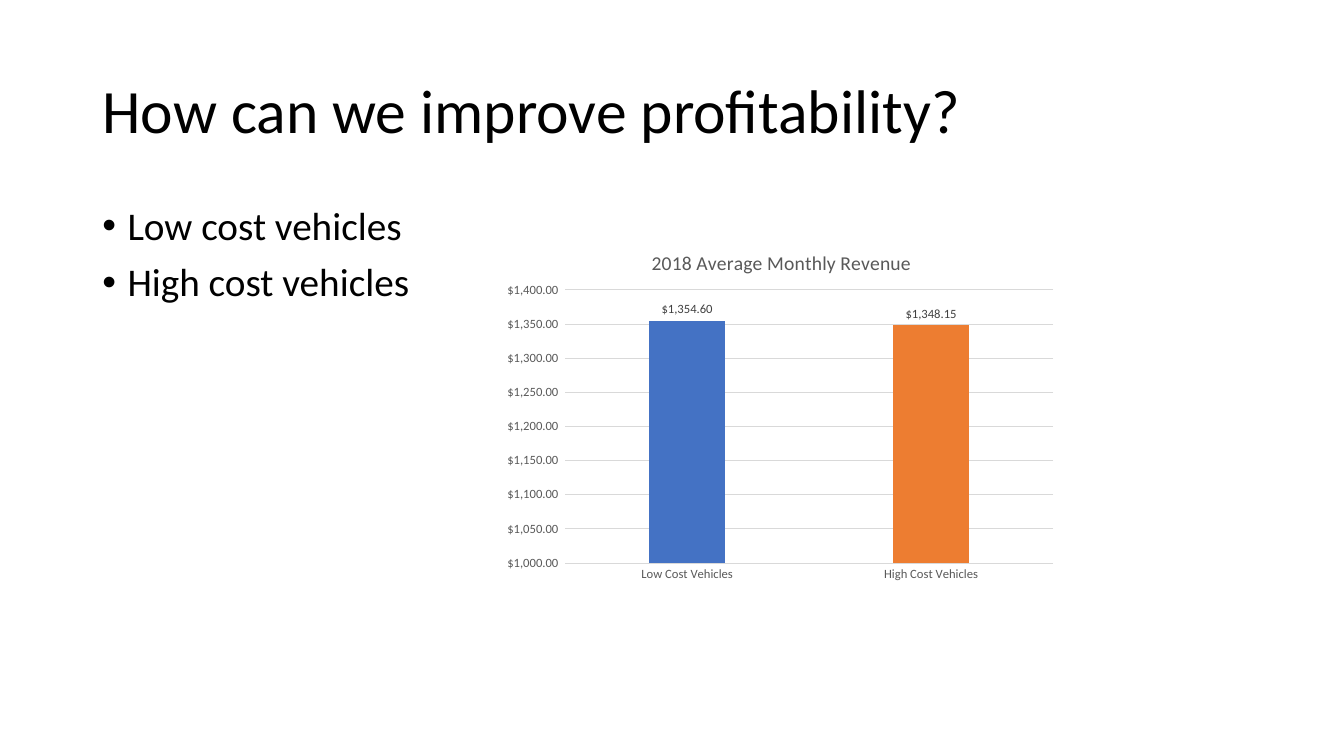
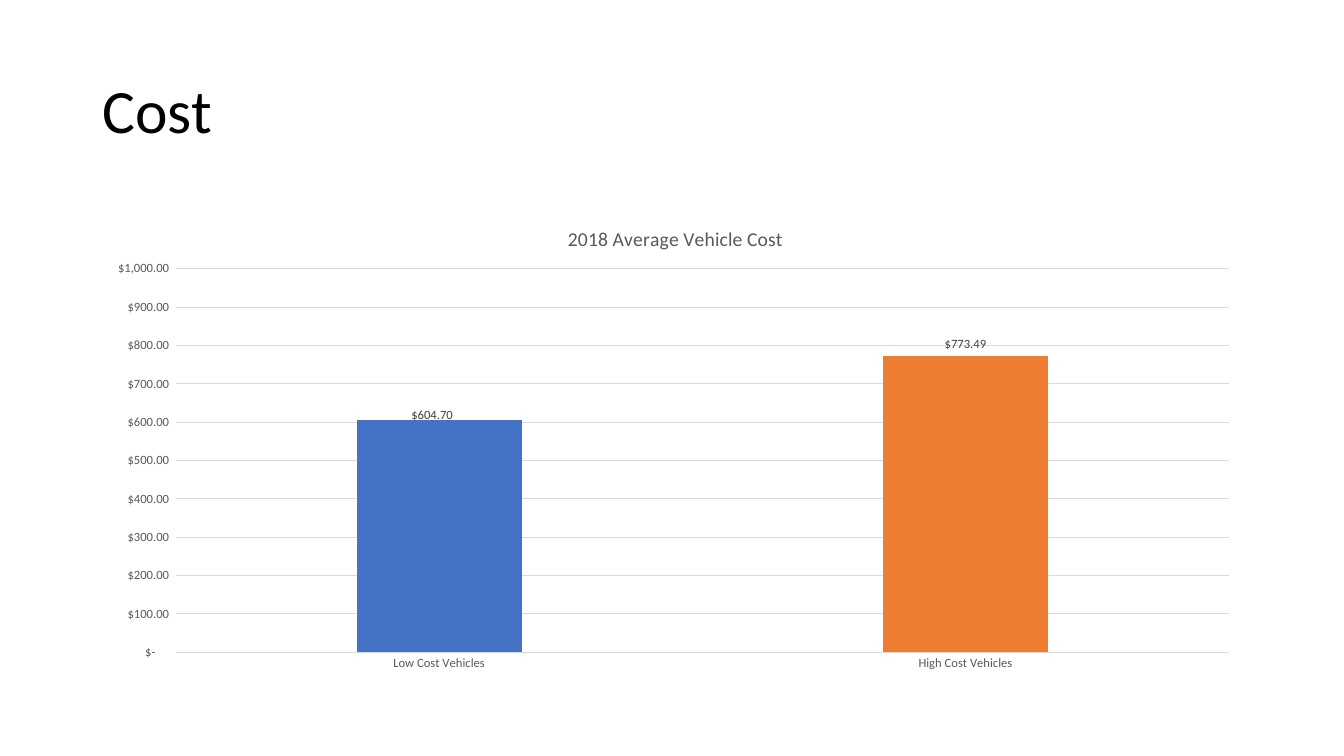
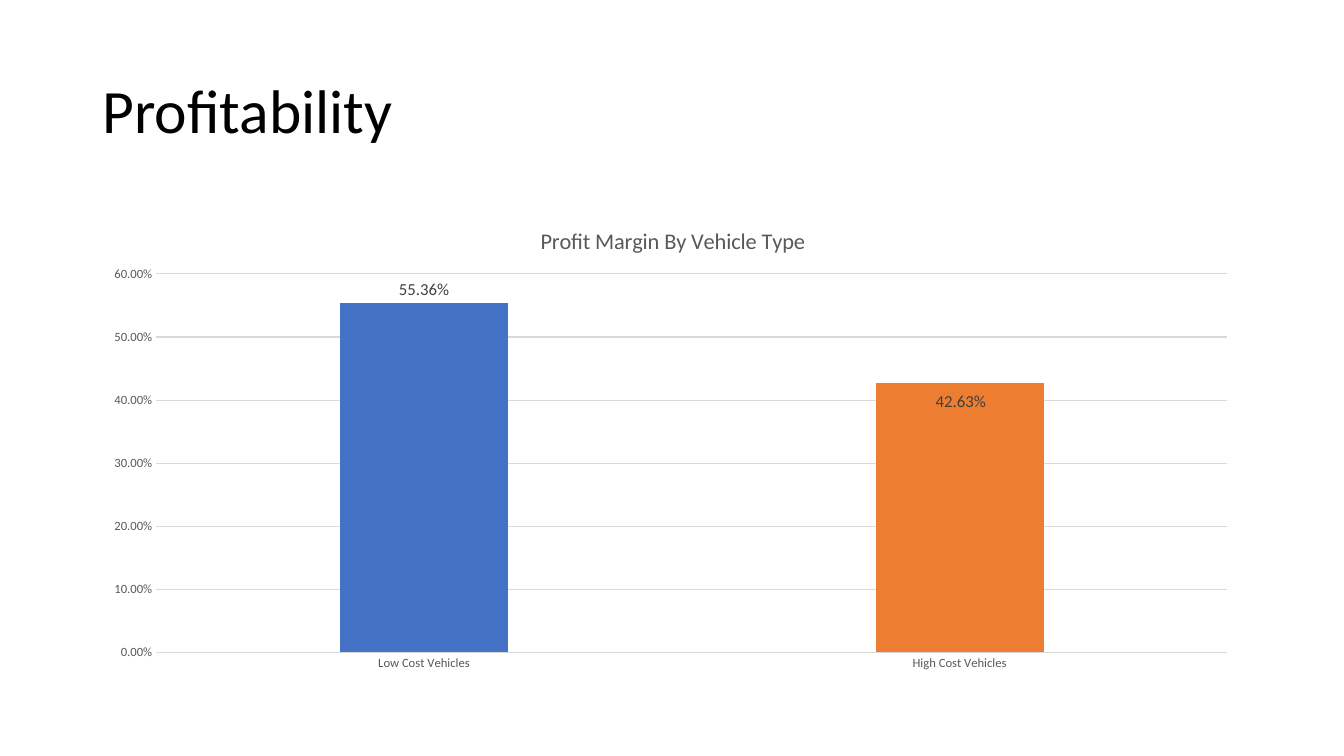
from lxml.etree import SubElement
from pptx import Presentation
from pptx.chart.data import CategoryChartData
from pptx.dml.color import RGBColor
from pptx.enum.chart import XL_CHART_TYPE, XL_LABEL_POSITION, XL_TICK_MARK
from pptx.enum.text import MSO_ANCHOR, MSO_AUTO_SIZE, PP_ALIGN
from pptx.oxml import parse_xml
from pptx.oxml.ns import nsdecls, qn
from pptx.util import Inches, Pt

BLACK = RGBColor(0x00, 0x00, 0x00)
GREY = RGBColor(0x59, 0x59, 0x59)
DARK = RGBColor(0x40, 0x40, 0x40)
RULE = RGBColor(0xD9, 0xD9, 0xD9)
BLUE = RGBColor(0x44, 0x72, 0xC4)
ORANGE = RGBColor(0xED, 0x7D, 0x31)
FACE = "Calibri"

# Boxes are left, top, width, height on a grid of 160 columns by 90 rows.
CELL = Inches(1) / 12
HEAD = (11, 4.8, 138, 17.4)
BODY = (11, 24, 138, 57.1)
SIDE = (58.7, 27, 68, 43.2)

KINDS = ("Low Cost Vehicles", "High Cost Vehicles")
MONEY = r'_("$"* #,##0.00_);_("$"* \(#,##0.00\);_("$"* "-"??_);_(@_)'
SHARE = "0.00%"


def scale(box):
    """Turn a grid box into slide lengths."""
    return [round(part * CELL) for part in box]


def style(font, size, color):
    """Set the shared face with a size and colour."""
    font.name, font.size, font.bold = FACE, Pt(size), False
    font.color.rgb = color


def write(para, text, size):
    """Add one run of black body text."""
    para.line_spacing = 0.9
    para.alignment = PP_ALIGN.LEFT
    run = para.add_run()
    run.text = text
    style(run.font, size, BLACK)


def add_page(deck, text):
    """Add a slide with its title and return it."""
    page = deck.slides.add_slide(deck.slide_layouts[5])
    head = page.shapes.title
    head.left, head.top, head.width, head.height = scale(HEAD)
    frame = head.text_frame
    frame.vertical_anchor = MSO_ANCHOR.MIDDLE
    frame.auto_size = MSO_AUTO_SIZE.NONE
    write(frame.paragraphs[0], text, 44)
    return page


def add_list(page, box, items):
    """Add a bulleted list in the box."""
    frame = page.shapes.add_textbox(*scale(box)).text_frame
    frame.word_wrap = True
    for i, item in enumerate(items):
        para = frame.add_paragraph() if i else frame.paragraphs[0]
        write(para, item, 28)
        para.space_before = Pt(10)
        props = para._p.get_or_add_pPr()
        props.set("marL", str(Inches(0.25)))
        props.set("indent", str(-Inches(0.25)))
        SubElement(props, qn("a:buFont")).set("typeface", "Arial")
        SubElement(props, qn("a:buChar")).set("char", "\u2022")


def make_layout(inner=False, **sides):
    """Build a manual layout from percentages of the chart."""
    tags = '<c:layoutTarget val="inner"/>' if inner else ""
    if not inner or "w" in sides:
        names = [key + "Mode" for key in "xy"] if inner or "edge" in sides else []
        tags += "".join(f'<c:{name} val="edge"/>' for name in names)
    tags += "".join(f'<c:{key} val="{sides[key] / 100:.4f}"/>'
                    for key in "xywh" if key in sides)
    return parse_xml(f'<c:layout {nsdecls("c")}><c:manualLayout>{tags}'
                     '</c:manualLayout></c:layout>')


def place(node, after, layout):
    """Put a layout into a chart part, just after the named child."""
    for old in node.findall(qn("c:layout")):
        node.remove(old)
    if after is None:
        node.insert(0, layout)
    else:
        node.find(qn(after)).addnext(layout)


def set_axes(chart, low, high, step, form):
    """Format both axes and the grid lines."""
    for axis in (chart.category_axis, chart.value_axis):
        axis.major_tick_mark = axis.minor_tick_mark = XL_TICK_MARK.NONE
        style(axis.tick_labels.font, 9, GREY)
    base, axis = chart.category_axis.format.line, chart.value_axis
    axis.format.line.fill.background()
    axis.minimum_scale, axis.maximum_scale, axis.major_unit = low, high, step
    axis.tick_labels.number_format = form
    axis.tick_labels.number_format_is_linked = False
    for line in (base, axis.major_gridlines.format.line):
        line.color.rgb, line.width = RULE, Pt(0.75)


def set_labels(series, form, size, shift):
    """Show values above the bars; shift moves single labels."""
    labels = series.data_labels
    labels.show_value = True
    labels.position = XL_LABEL_POSITION.OUTSIDE_END
    labels.number_format, labels.number_format_is_linked = form, False
    style(labels.font, size, DARK)
    for i, (x, y) in shift.items():
        label = series.points[i].data_label
        style(label.font, size, DARK)
        label.position = XL_LABEL_POSITION.OUTSIDE_END
        node = labels._element.xpath(f"c:dLbl[c:idx/@val={i}]")[0]
        place(node, "c:idx", make_layout(x=x, y=y))


def add_bars(page, box, title, vals, scope, plot, spot,
             form=MONEY, sizes=(14, 9), shift=None):
    """Add a two-bar chart; plot and spot are percentages of the box."""
    data = CategoryChartData(number_format=form)
    data.categories = KINDS
    data.add_series("Series 1", vals)
    kind = XL_CHART_TYPE.COLUMN_CLUSTERED
    chart = page.shapes.add_chart(kind, *scale(box), data).chart
    style(chart.font, 10, BLACK)
    chart.has_legend = False
    run = chart.chart_title.text_frame.paragraphs[0].add_run()
    run.text = title
    style(run.font, sizes[0], GREY)
    chart.chart_title.include_in_layout = False
    place(chart.chart_title._element, "c:tx",
          make_layout(edge=True, x=spot[0], y=spot[1]))
    area = chart._chartSpace.chart.plotArea
    place(area, None, make_layout(inner=True, **dict(zip("xywh", plot))))
    bars = chart.plots[0]
    bars.gap_width, bars.overlap, bars.vary_by_categories = 219, -27, False
    series = bars.series[0]
    for target, color in ((series, BLUE), (series.points[1], ORANGE)):
        target.format.fill.solid()
        target.format.fill.fore_color.rgb = color
    set_axes(chart, *scope, form)
    set_labels(series, form, sizes[1], shift or {})


def main():
    """Build and save the three slides."""
    deck = Presentation()
    deck.slide_width, deck.slide_height = Inches(13.33), Inches(7.5)

    page = add_page(deck, "How can we improve profitability?")
    add_list(page, BODY, ("Low cost vehicles", "High cost vehicles"))
    add_bars(page, SIDE, "2018 Average Monthly Revenue", (1354.6, 1348.15),
             (1000, 1400, 50), (12.6, 17.4, 85.4, 75.3), (27.1, 5.2))

    page = add_page(deck, "Cost")
    add_bars(page, BODY, "2018 Average Vehicle Cost", (604.7, 773.49),
             (0, 1000, 100), (7.2, 14, 90.8, 80), (40.7, 4.2),
             shift={0: (-0.6, 1.4)})

    page = add_page(deck, "Profitability")
    add_bars(page, BODY, "Profit Margin By Vehicle Type", (0.5536, 0.4263),
             (0, 0.6, 0.1), (5.5, 15.1, 92.4, 78.9), (38.3, 4.3),
             form=SHARE, sizes=(16, 12), shift={1: (0.1, 6.7)})
    deck.save("out.pptx")


main()
